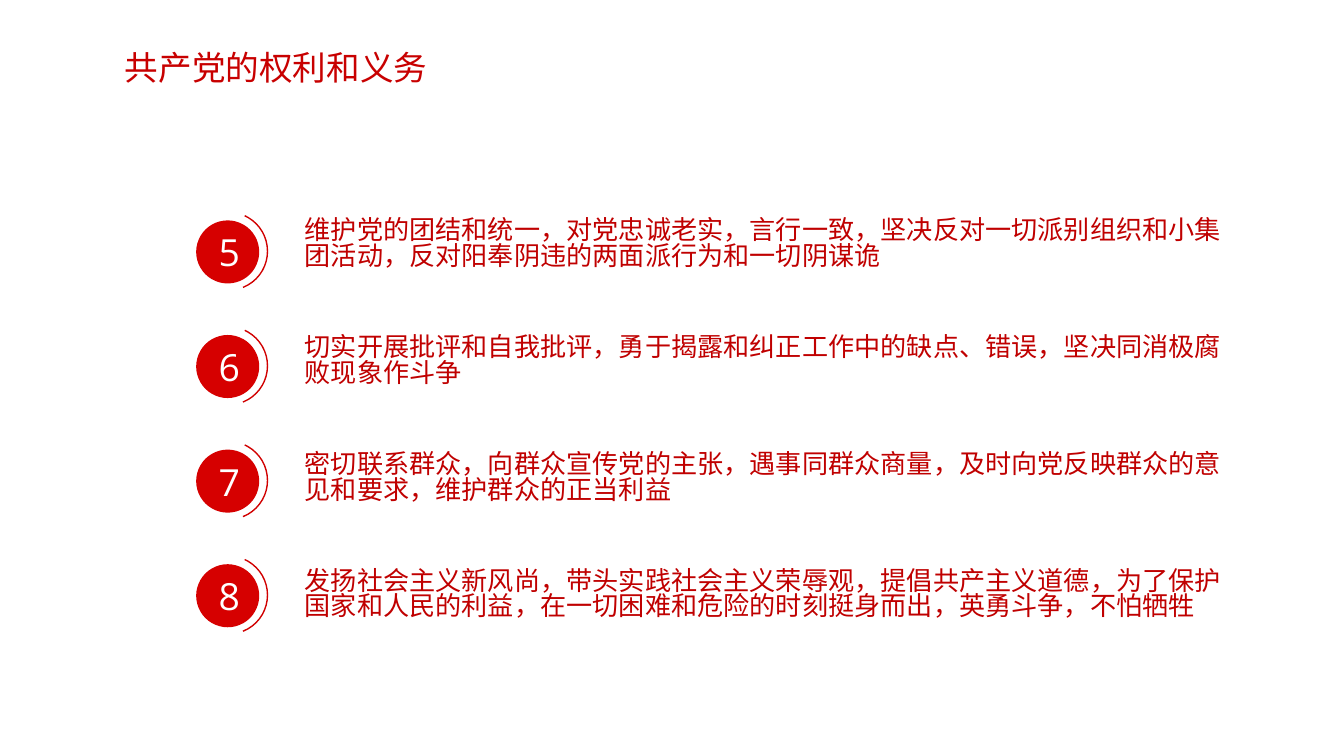
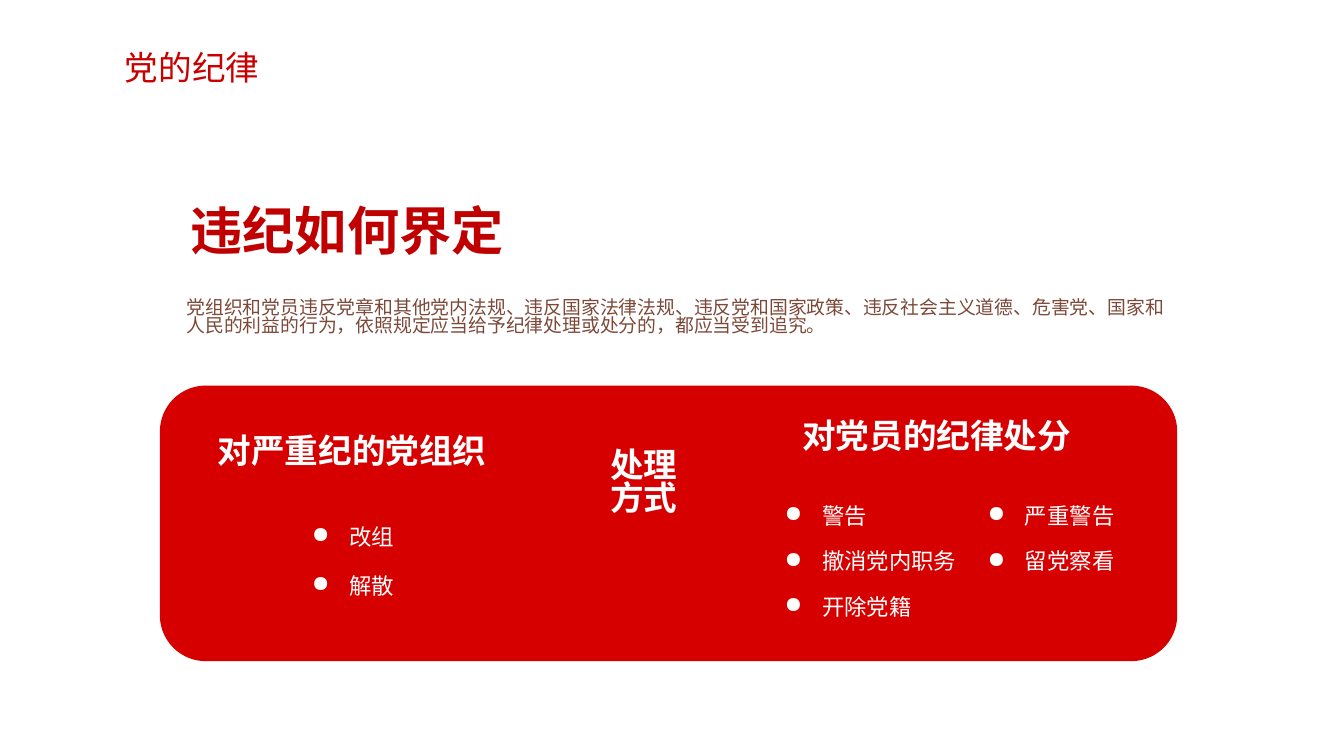
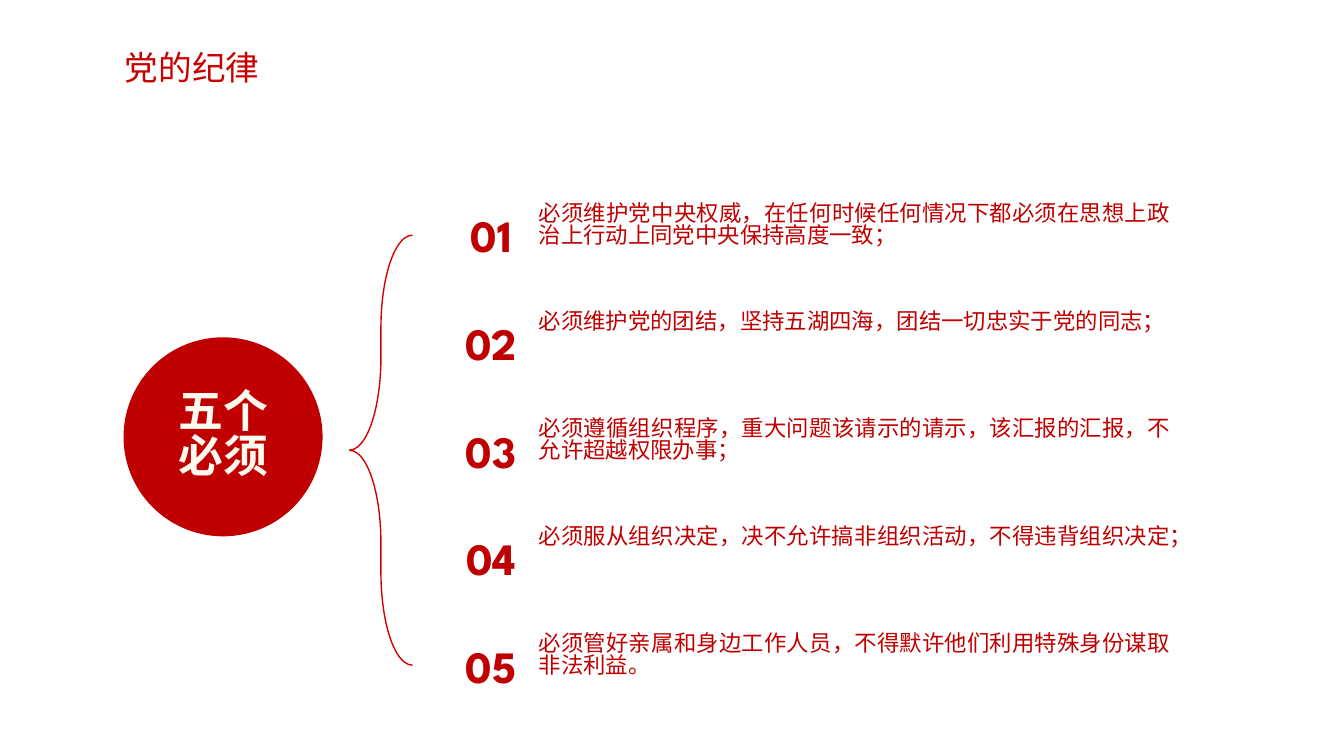
from dataclasses import dataclass

from lxml import etree
from pptx import Presentation
from pptx.dml.color import RGBColor
from pptx.enum import shapes, text
from pptx.oxml import ns
from pptx.util import Pt

LEFT, CENTER, JUSTIFY = text.PP_ALIGN.LEFT, text.PP_ALIGN.CENTER, text.PP_ALIGN.JUSTIFY
TOP, MIDDLE = text.MSO_ANCHOR.TOP, text.MSO_ANCHOR.MIDDLE
KIND = shapes.MSO_SHAPE


@dataclass(frozen=True)
class Theme:
    title: str = "C80000"
    panel: str = "D60000"
    line: str = "D10000"
    body: str = "C00000"
    brown: str = "7C4939"
    white: str = "FFFFFF"
    cream: str = "FFFAF0"
    latin: str = "Open Sans"
    asian: str = "Noto Sans CJK SC"
    digits: str = "League Spartan"
    note_size: float = 10.1
    small: float = 12
    medium: float = 14
    heading: float = 18
    badge: float = 20
    large: float = 24
    huge: float = 28
    line_width: float = 0.75
    leading: float = 0.82


THEME = Theme()


@dataclass(frozen=True)
class Box:
    left: float
    top: float
    width: float
    height: float

    def inner(self, left, top, width, height):
        return Box(self.left + left, self.top + top, width, height)

    def points(self):
        return [Pt(round(v, 2)) for v in (self.left, self.top, self.width, self.height)]


@dataclass(frozen=True)
class Style:
    size: float
    color: str
    bold: bool = False
    font: str = THEME.latin
    align: text.PP_ALIGN = LEFT
    leading: float = None


TITLE = Style(THEME.heading, THEME.title, font=THEME.asian)
BADGE = Style(THEME.badge, THEME.white, align=CENTER)
DUTY = Style(THEME.medium, THEME.body, leading=THEME.leading)
NOTE = Style(THEME.note_size, THEME.brown, leading=THEME.leading)
QUESTION = Style(THEME.huge, THEME.body, bold=True)
HEADING = Style(THEME.heading, THEME.white, bold=True, align=CENTER, leading=THEME.leading)
MEASURE = Style(THEME.small, THEME.white, leading=THEME.leading)
CENTERED_MEASURE = Style(THEME.small, THEME.white, align=CENTER, leading=THEME.leading)
HUB = Style(THEME.large, THEME.cream, bold=True, align=CENTER, leading=THEME.leading)
NUMBER = Style(THEME.large, THEME.body, bold=True, font=THEME.digits, align=CENTER)
RULE = Style(THEME.small, THEME.body, align=JUSTIFY, leading=THEME.leading)


def add_bullet(para):
    properties = para._p.get_or_add_pPr()
    properties.set("marL", str(Pt(20)))
    properties.set("indent", str(-Pt(20)))
    etree.SubElement(properties, ns.qn("a:buChar")).set("char", "●")


def write(shape, lines, style, anchor, bullet=False, wrap=True):
    frame = shape.text_frame
    frame.word_wrap = wrap
    frame.vertical_anchor = anchor
    for index, line in enumerate(lines):
        para = frame.add_paragraph() if index else frame.paragraphs[0]
        para.alignment = style.align
        if style.leading:
            para.line_spacing = style.leading
        if bullet:
            add_bullet(para)
        span = para.add_run()
        span.text = line
        span.font.size = Pt(style.size)
        span.font.bold = style.bold
        span.font.color.rgb = RGBColor.from_string(style.color)
        span.font.name = style.font
        asian = etree.SubElement(span._r.get_or_add_rPr(), ns.qn("a:ea"))
        asian.set("typeface", THEME.asian)


def add_text(parent, box, lines, style, anchor=TOP, grow=True, **options):
    shape = parent.shapes.add_textbox(*box.points())
    write(shape, lines, style, anchor, **options)
    if grow:
        shape.text_frame.auto_size = text.MSO_AUTO_SIZE.SHAPE_TO_FIT_TEXT


def add_shape(page, kind, box, fill=None, line=None, adjust=()):
    shape = page.shapes.add_shape(kind, *box.points())
    shape.shadow.inherit = False
    for index, value in enumerate(adjust):
        shape.adjustments[index] = value
    if fill:
        shape.fill.solid()
        shape.fill.fore_color.rgb = RGBColor.from_string(fill)
    else:
        shape.fill.background()
    if line:
        shape.line.color.rgb = RGBColor.from_string(line)
        shape.line.width = Pt(THEME.line_width)
    else:
        shape.line.fill.background()
    return shape


def add_page(deck, title):
    page = deck.slides.add_slide(deck.slide_layouts[6])
    add_text(page, Box(59.8, 19.4, 648, 33.1), [title], TITLE, MIDDLE, grow=False)
    return page


def add_duties(page, box, first, duties):
    badge_pitch, text_pitch = 61.4, 62.64
    for index, duty in enumerate(duties):
        top = index * badge_pitch
        circle = add_shape(page, KIND.OVAL, box.inner(3.6, 12.2, 33.8, 33.8).inner(0, top, 33.8, 33.8),
                           THEME.panel)
        write(circle, [str(first + index)], BADGE, MIDDLE)
        add_shape(page, KIND.ARC, box.inner(0, 7.8 + top, 41.8, 41.8),
                  line=THEME.line, adjust=(176.76, 40.91))
        add_text(page, box.inner(54.7, index * text_pitch, box.width - 54.7, 50.4),
                 [duty], DUTY, MIDDLE, grow=False)


def add_definition(page, box, question, answer):
    label = add_shape(page, KIND.ROUNDED_RECTANGLE, box.inner(0, 0, 353.5, 43.9))
    write(label, [question], QUESTION, MIDDLE)
    add_text(page, box.inner(0, 56.2, box.width, 31.7), [answer], NOTE)


def add_panel(page, box):
    add_shape(page, KIND.ROUNDED_RECTANGLE, box, THEME.panel)
    headings = [("对严重纪的党组织", -5.8, 14.4), ("对党员的纪律处分", 307.4, 6.5)]
    for heading, left, top in headings:
        label = add_shape(page, KIND.ROUNDED_RECTANGLE, box.inner(left, top, 217.4, 43.9))
        write(label, [heading], HEADING, MIDDLE)
    add_text(page, box.inner(233.3, 31.7, 51.8, 51.1), ["处理", "方式"], HEADING, wrap=False)
    for row, measure in enumerate(["改组", "解散"]):
        add_text(page, box.inner(56.2, 72.7 + row * 26, 94.3, 21.6),
                 [measure], CENTERED_MEASURE, bullet=True)
    penalties = ["警告", "严重警告", "撤消党内职务", "留党察看", "开除党籍"]
    for index, penalty in enumerate(penalties):
        row, column = divmod(index, 2)
        width = 125.3 if len(penalty) > 4 else 105.1
        add_text(page, box.inner(327.6 + column * 108.7, 61.2 + row * 24.5, width, 21.6),
                 [penalty], MEASURE, bullet=True)


def add_hub(page, box, lines):
    circle = add_shape(page, KIND.ROUNDED_RECTANGLE, box.inner(0, 54.7, 106.6, 106.6),
                       THEME.body, adjust=(0.5,))
    write(circle, lines, HUB, MIDDLE)
    add_shape(page, KIND.LEFT_BRACE, box.inner(121, 0, 33.8, box.height),
              line=THEME.line, adjust=(1.47, 0.5))


def add_rules(page, box, rules):
    for index, rule in enumerate(rules):
        row = box.inner(0, index * 57.6, box.width, 38)
        group = page.shapes.add_group_shape()
        height = 36 if len(rule) > 30 else 21.6
        add_text(group, row.inner(46.1, 0, box.width - 46.1, height), [rule], RULE)
        add_text(group, row.inner(0, 2.2, 55.4, 36), [f"{index + 1:02}"], NUMBER)


def main():
    deck = Presentation()
    deck.slide_width, deck.slide_height = Pt(720), Pt(405)

    page = add_page(deck, "共产党的权利和义务")
    add_duties(page, Box(101.5, 105.9, 570.9, 238.3), 5, [
        "维护党的团结和统一，对党忠诚老实，言行一致，坚决反对一切派别组织和小集团活动，反对阳奉阴违的两面派行为和一切阴谋诡",
        "切实开展批评和自我批评，勇于揭露和纠正工作中的缺点、错误，坚决同消极腐败现象作斗争",
        "密切联系群众，向群众宣传党的主张，遇事同群众商量，及时向党反映群众的意见和要求，维护群众的正当利益",
        "发扬社会主义新风尚，带头实践社会主义荣辱观，提倡共产主义道德，为了保护国家和人民的利益，在一切困难和危险的时刻挺身而出，英勇斗争，不怕牺牲",
    ])

    page = add_page(deck, "党的纪律")
    add_panel(page, Box(85.7, 206.6, 545, 147.6))
    add_definition(
        page, Box(92.9, 100.8, 545, 88), "违纪如何界定",
        "党组织和党员违反党章和其他党内法规、违反国家法律法规、违反党和国家政策、违反社会主义道德、"
        "危害党、国家和人民的利益的行为，依照规定应当给予纪律处理或处分的，都应当受到追究。")

    page = add_page(deck, "党的纪律")
    add_rules(page, Box(235.4, 105.8, 398.9, 268.6), [
        "必须维护党中央权威，在任何时候任何情况下都必须在思想上政治上行动上同党中央保持高度一致；",
        "必须维护党的团结，坚持五湖四海，团结一切忠实于党的同志；",
        "必须遵循组织程序，重大问题该请示的请示，该汇报的汇报，不允许超越权限办事；",
        "必须服从组织决定，决不允许搞非组织活动，不得违背组织决定；",
        "必须管好亲属和身边工作人员，不得默许他们利用特殊身份谋取非法利益。",
    ])
    add_hub(page, Box(66.2, 126, 154.8, 230.4), ["五个", "必须"])

    deck.save("out.pptx")


if __name__ == "__main__":
    main()
